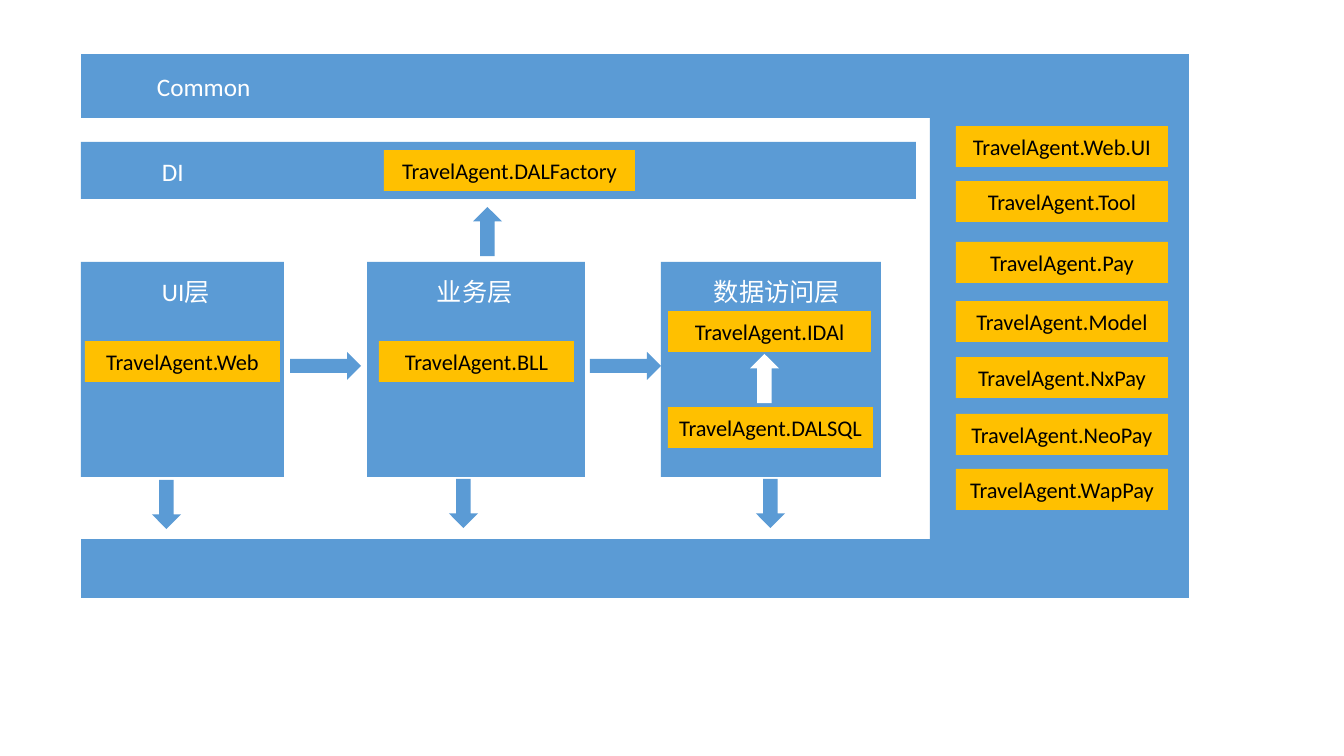
from dataclasses import dataclass
from typing import NamedTuple

from pptx import Presentation
from pptx.dml.color import RGBColor as RGB
from pptx.enum.shapes import MSO_SHAPE as Kind
from pptx.enum.text import MSO_ANCHOR as Anchor, PP_ALIGN as Align
from pptx.util import Emu, Pt

SCALE = 914400 / 100.8


@dataclass(frozen=True)
class Theme:
    blue: RGB = RGB(0x5B, 0x9B, 0xD5)
    gold: RGB = RGB(0xFF, 0xC0, 0x00)
    white: RGB = RGB(0xFF, 0xFF, 0xFF)
    black: RGB = RGB(0, 0, 0)
    font: str = "Calibri"
    chip: int = 16
    title: int = 18


class Box(NamedTuple):
    x: int
    y: int
    w: int
    h: int


class Block(NamedTuple):
    box: Box
    kind: Kind = Kind.RECTANGLE


class Chip(NamedTuple):
    name: str
    x: int
    y: int
    w: int


class Arrow(NamedTuple):
    x: int
    y: int
    kind: Kind
    fill: RGB


class Title(NamedTuple):
    text: str
    x: int
    y: int
    w: int


theme = Theme()
CHIP_H = TITLE_H = 41
LAYER_Y, LAYER_H = 262, 215
LONG, SHORT = 71, 28

deck = Presentation()
deck.slide_width = Emu(round(1344 * SCALE))
deck.slide_height = Emu(round(756 * SCALE))
slide = deck.slides.add_slide(deck.slide_layouts[6])


def place(box: Box) -> list[Emu]:
    return [Emu(round(side * SCALE)) for side in box]


def style(frame, text: str, size: int, color: RGB) -> None:
    frame.word_wrap = True
    frame.text = text
    font = frame.paragraphs[0].runs[0].font
    font.name, font.size = theme.font, Pt(size)
    font.color.rgb = color


def draw(box: Box, kind: Kind, fill: RGB):
    shape = slide.shapes.add_shape(kind, *place(box))
    shape.shadow.inherit = False
    shape.fill.solid()
    shape.fill.fore_color.rgb = fill
    shape.line.fill.background()
    return shape


def add_chip(chip: Chip) -> None:
    box = Box(chip.x, chip.y, chip.w, CHIP_H)
    frame = draw(box, Kind.RECTANGLE, theme.gold).text_frame
    style(frame, chip.name, theme.chip, theme.black)
    frame.vertical_anchor = Anchor.MIDDLE
    frame.paragraphs[0].alignment = Align.CENTER


def add_arrow(arrow: Arrow) -> None:
    flat = arrow.kind == Kind.RIGHT_ARROW
    w, h = (LONG, SHORT) if flat else (29, 49)
    draw(Box(arrow.x, arrow.y, w, h), arrow.kind, arrow.fill)


def add_title(title: Title) -> None:
    box = Box(title.x, title.y, title.w, TITLE_H)
    frame = slide.shapes.add_textbox(*place(box)).text_frame
    style(frame, title.text, theme.title, theme.white)


layers = [(81, 203), (367, 218), (661, 220)]
blocks = [
    Block(Box(81, 54, 1108, 64), Kind.FLOWCHART_PROCESS),
    Block(Box(930, 118, 259, 421)),
    Block(Box(81, 539, 1108, 59), Kind.FLOWCHART_PROCESS),
    Block(Box(81, 142, 835, 57)),
    *(Block(Box(x, LAYER_Y, w, LAYER_H)) for x, w in layers),
]

shared = {"Web.UI": 126, "Tool": 181, "Pay": 242, "Model": 301,
          "NxPay": 357, "NeoPay": 414, "WapPay": 469}
chips = [
    *(Chip(name, 956, y, 212) for name, y in shared.items()),
    Chip("IDAl", 668, 311, 203),
    Chip("DALSQL", 668, 407, 205),
    Chip("Web", 85, 341, 195),
    Chip("BLL", 379, 341, 195),
    Chip("DALFactory", 384, 150, 251),
]

arrows = [
    *(Arrow(x, 352, Kind.RIGHT_ARROW, theme.blue) for x in (290, 590)),
    Arrow(152, 480, Kind.DOWN_ARROW, theme.blue),
    *(Arrow(x, 479, Kind.DOWN_ARROW, theme.blue) for x in (449, 756)),
    Arrow(473, 207, Kind.UP_ARROW, theme.blue),
    Arrow(750, 354, Kind.UP_ARROW, theme.white),
]

titles = [
    Title("UI层", 152, 271, 69),
    Title("业务层", 427, 271, 120),
    Title("数据访问层", 704, 271, 167),
    Title("DI", 152, 151, 69),
    Title("Common", 147, 66, 132),
]

for block in blocks:
    draw(block.box, block.kind, theme.blue)
for chip in chips:
    add_chip(chip._replace(name=f"TravelAgent.{chip.name}"))
for arrow in arrows:
    add_arrow(arrow)
for title in titles:
    add_title(title)

deck.save("out.pptx")
